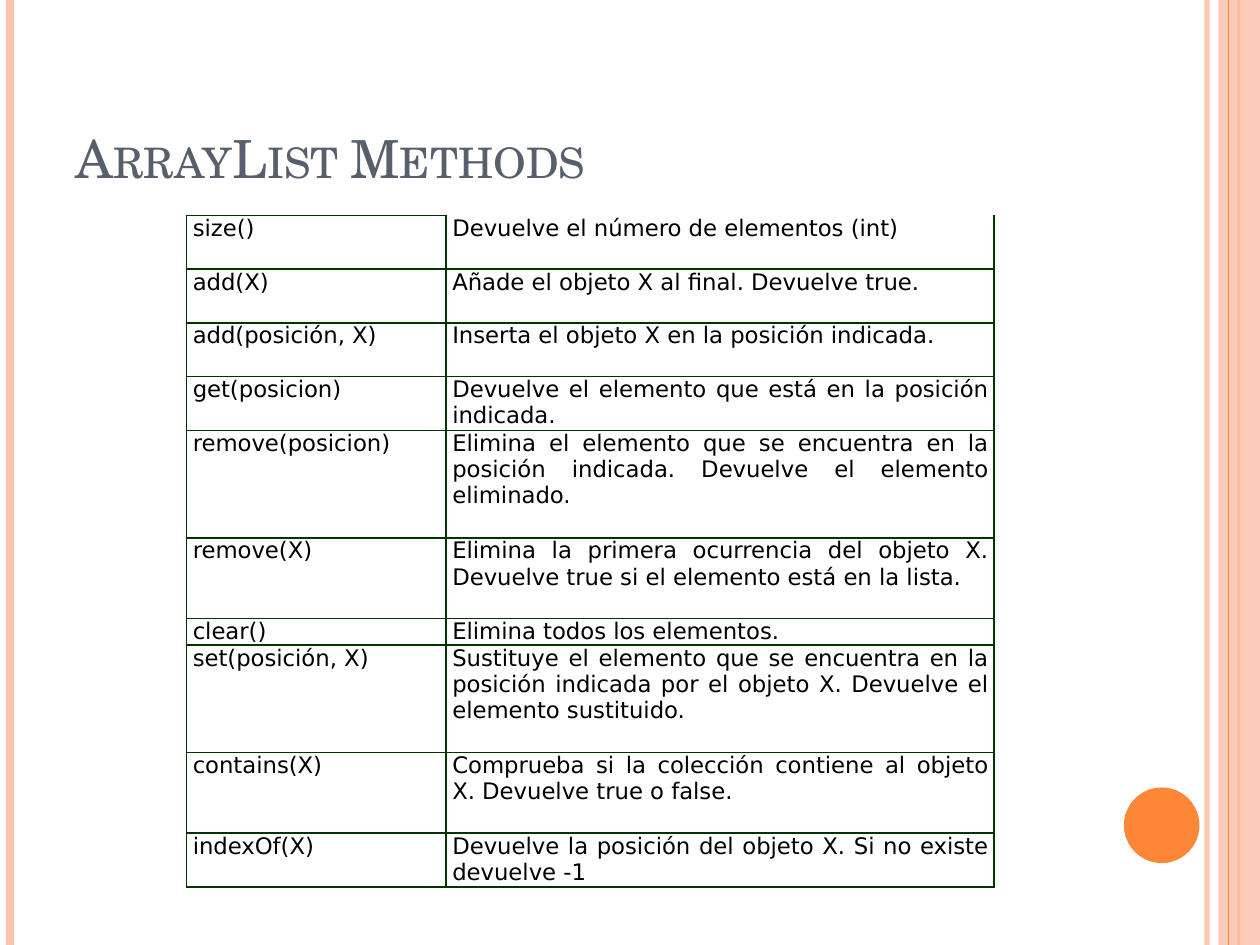
from lxml.etree import SubElement
from pptx import Presentation
from pptx.dml.color import RGBColor
from pptx.enum.shapes import MSO_CONNECTOR, MSO_SHAPE
from pptx.enum.text import MSO_ANCHOR, MSO_AUTO_SIZE, PP_ALIGN
from pptx.oxml.ns import qn
from pptx.util import Inches, Pt

TITLE = "ArrayList Methods"
# Method, description, row height in text lines
ROWS = [
    ("size()", "Devuelve el número de elementos (int)", 2),
    ("add(X)", "Añade el objeto X al final. Devuelve true.", 2),
    ("add(posición, X)", "Inserta el objeto X en la posición indicada.", 2),
    ("get(posicion)", "Devuelve el elemento que está en la posición indicada.", 2),
    ("remove(posicion)", "Elimina el elemento que se encuentra en la posición "
     "indicada. Devuelve el elemento eliminado.", 4),
    ("remove(X)", "Elimina la primera ocurrencia del objeto X. Devuelve true "
     "si el elemento está en la lista.", 3),
    ("clear()", "Elimina todos los elementos.", 1),
    ("set(posición, X)", "Sustituye el elemento que se encuentra en la posición "
     "indicada por el objeto X. Devuelve el elemento sustituido.", 4),
    ("contains(X)", "Comprueba si la colección contiene al objeto X. "
     "Devuelve true o false.", 3),
    ("indexOf(X)", "Devuelve la posición del objeto X. Si no existe devuelve -1", 2),
]
PEACH, ORANGE, SLATE, GREEN, BLACK = "FEC3AE", "FE8637", "575F6D", "003300", "000000"
WIDE, HIGH = Inches(10), Inches(7.5)
COLS = (2.06, 4.35)
LEFT, TOP, BODY = 1.48, 1.71, 5.33
UNIT = BODY / sum(row[2] for row in ROWS)


def color(text):
    return RGBColor.from_string(text)


def fade(part, share):
    """Set the opacity, in percent, of the first colour in a part."""
    tint = next(part._element.spPr.iter(qn("a:srgbClr")))
    SubElement(tint, qn("a:alpha"), val=str(share * 1000))


def stripe(x, tone, width):
    line = slide.shapes.add_connector(
        MSO_CONNECTOR.STRAIGHT, Inches(x), 0, Inches(x), HIGH)
    line.line.color.rgb = color(tone)
    line.line.width = Pt(width)
    SubElement(line._element.spPr, qn("a:effectLst"))
    return line


def solid(kind, x, y, w, h, tone):
    part = slide.shapes.add_shape(kind, *map(Inches, (x, y, w, h)))
    part.shadow.inherit = False
    part.fill.solid()
    part.fill.fore_color.rgb = color(tone)
    part.line.fill.background()
    return part


def style(run, size, font, tone):
    run.font.size = Pt(size)
    run.font.name = font
    run.font.color.rgb = color(tone)


def border(cell, sides):
    props = cell._tc.get_or_add_tcPr()
    for side in "LRTB":
        edge = SubElement(props, qn("a:ln" + side), w=str(Pt(1)))
        if side in sides:
            fill = SubElement(edge, qn("a:solidFill"))
            SubElement(fill, qn("a:srgbClr"), val=GREEN)
        else:
            SubElement(edge, qn("a:noFill"))


deck = Presentation()
deck.slide_width, deck.slide_height = WIDE, HIGH
slide = deck.slides.add_slide(deck.slide_layouts[5])

# Side stripes and disc
fade(stripe(9.58, PEACH, 3), 93)
stripe(0.08, PEACH, 4.5)
stripe(9.83, ORANGE, 1.5)
fade(solid(MSO_SHAPE.RECTANGLE, 9.67, 0, 0.33, 7.5, PEACH), 87)
stripe(9.75, ORANGE, 0.75)
solid(MSO_SHAPE.OVAL, 8.92, 6.25, 0.6, 0.6, ORANGE)

# Title
title = slide.shapes.title
title.left, title.top, title.width, title.height = map(Inches, (0.5, 0.3, 8.17, 1.25))
frame = title.text_frame
frame.text = TITLE
frame.auto_size = MSO_AUTO_SIZE.NONE
frame.vertical_anchor = MSO_ANCHOR.BOTTOM
frame.paragraphs[0].alignment = PP_ALIGN.LEFT
run = frame.paragraphs[0].runs[0]
style(run, 30, "TeX Gyre Schola", SLATE)
run.font._element.set("cap", "small")

# Method table
table = slide.shapes.add_table(
    len(ROWS), len(COLS), *map(Inches, (LEFT, TOP, sum(COLS), BODY))).table
table.first_row = table.horz_banding = False
for col, width in zip(table.columns, COLS):
    col.width = Inches(width)
for r, (*texts, lines) in enumerate(ROWS):
    table.rows[r].height = Inches(UNIT * lines)
    for c, text in enumerate(texts):
        cell = table.cell(r, c)
        cell.margin_left = cell.margin_right = Inches(0.05)
        cell.margin_top = cell.margin_bottom = 0
        cell.text_frame.text = text
        para = cell.text_frame.paragraphs[0]
        para.alignment = PP_ALIGN.JUSTIFY if c else PP_ALIGN.LEFT
        para.space_before = para.space_after = Pt(6)
        style(para.runs[0], 13, "DejaVu Sans", BLACK)
        border(cell, "LRB" if (r, c) == (0, 1) else "LRTB")
        cell.fill.background()

deck.save("out.pptx")
